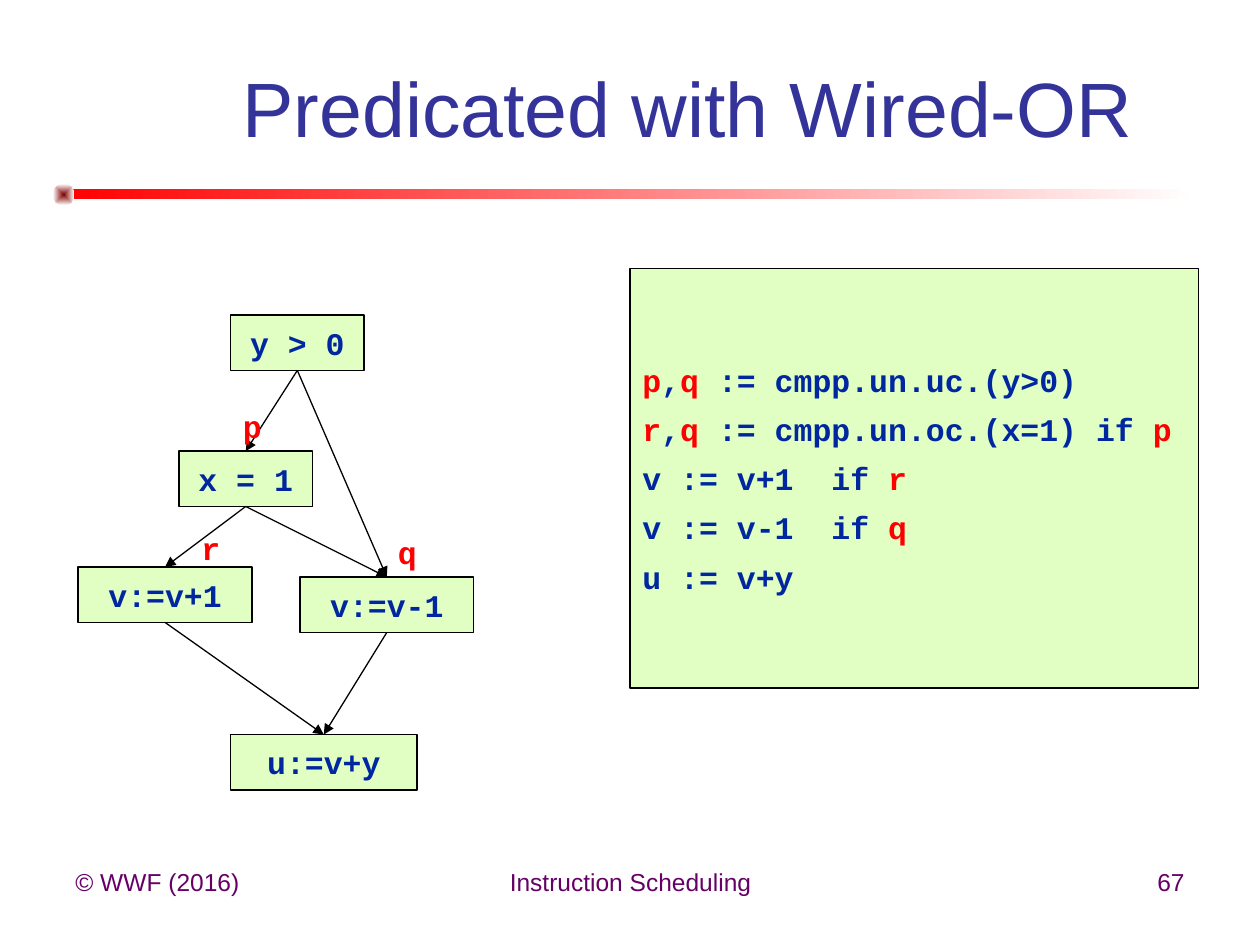
from dataclasses import dataclass

from pptx import Presentation
from pptx.dml.color import RGBColor
from pptx.enum.shapes import MSO_CONNECTOR as Connector, MSO_SHAPE as Shape
from pptx.enum.text import MSO_ANCHOR as Anchor, PP_ALIGN as Align
from pptx.oxml import parse_xml
from pptx.oxml.ns import nsdecls, qn
from pptx.util import Inches, Pt

BLACK = RGBColor(0x00, 0x00, 0x00)
WHITE = RGBColor(0xFF, 0xFF, 0xFF)
RED = RGBColor(0xFF, 0x00, 0x00)
MAROON = RGBColor(0x80, 0x00, 0x00)
PURPLE = RGBColor(0x66, 0x00, 0x66)
INDIGO = RGBColor(0x33, 0x33, 0x99)
NAVY = RGBColor(0x00, 0x27, 0x9F)
LIME = RGBColor(0xE1, 0xFF, 0xC3)
BODY_FONT = "Arial"
CODE_FONT = "Courier New"
NODE_HEIGHT = 0.44
TOP_SITE, BOTTOM_SITE = 0, 2


@dataclass(frozen=True)
class Node:
    text: str
    left: float
    top: float
    width: float


@dataclass(frozen=True)
class Label:
    text: str
    left: float
    top: float
    width: float
    height: float
    size: int
    font: str
    color: RGBColor
    bold: bool = False
    align: Align = Align.LEFT


COMPARE_Y = Node("y > 0", 1.83, 2.5, 1.06)
COMPARE_X = Node("x = 1", 1.42, 3.58, 1.06)
DECREMENT = Node("v:=v-1", 2.38, 4.58, 1.38)
INCREMENT = Node("v:=v+1", 0.62, 4.5, 1.38)
SUM = Node("u:=v+y", 1.83, 5.83, 1.48)
NODES = (COMPARE_Y, COMPARE_X, DECREMENT, INCREMENT, SUM)
EDGES = (
    (COMPARE_Y, COMPARE_X),
    (COMPARE_Y, DECREMENT),
    (COMPARE_X, INCREMENT),
    (COMPARE_X, DECREMENT),
    (INCREMENT, SUM),
    (DECREMENT, SUM),
)
PREDICATES = [
    Label(name, left, top, 0.34, 0.4, 18, CODE_FONT, RED, bold=True)
    for name, left, top in (("p", 1.83, 3.18), ("r", 1.5, 4.15), ("q", 3.06, 4.18))
]
FOOTERS = [
    Label(text, left, 6.83, width, 0.52, 14, BODY_FONT, PURPLE, align=align)
    for text, left, width, align in (
        ("© WWF (2016)", 0.5, 2.33, Align.LEFT),
        ("Instruction Scheduling", 3.42, 3.17, Align.CENTER),
        ("67", 7.17, 2.33, Align.RIGHT),
    )
]
CODE_LINES = (
    (("p", RED), (",", NAVY), ("q", RED), (" := cmpp.un.uc.(y>0)", NAVY)),
    (("r", RED), (",", NAVY), ("q", RED), (" := cmpp.un.oc.(x=1) if ", NAVY), ("p", RED)),
    (("v := v+1\tif ", NAVY), ("r", RED)),
    (("v := v-1\tif ", NAVY), ("q", RED)),
    (("u := v+y", NAVY),),
)


def set_font(font, name: str, size: int, color: RGBColor, bold: bool = False) -> None:
    font.name = name
    font.size = Pt(size)
    font.color.rgb = color
    font.bold = bold


def add_gradient(slide, kind: Shape, left: float, top: float, width: float,
                 height: float, start: RGBColor):
    shape = slide.shapes.add_shape(
        kind, Inches(left), Inches(top), Inches(width), Inches(height))
    shape.shadow.inherit = False
    shape.line.fill.background()
    shape.fill.gradient()
    shape.fill.gradient_angle = 0
    for stop, color in zip(shape.fill.gradient_stops, (start, WHITE)):
        stop.color.rgb = color
    return shape


def make_radial(shape) -> None:
    linear = shape.element.spPr.find(qn("a:gradFill")).find(qn("a:lin"))
    linear.getparent().replace(linear, parse_xml(
        f'<a:path {nsdecls("a")} path="shape">'
        '<a:fillToRect l="50000" t="50000" r="50000" b="50000"/></a:path>'))


def add_box(slide, left: float, top: float, width: float, height: float):
    shape = slide.shapes.add_shape(
        Shape.FLOWCHART_PROCESS, Inches(left), Inches(top), Inches(width), Inches(height))
    shape.shadow.inherit = False
    shape.fill.solid()
    shape.fill.fore_color.rgb = LIME
    shape.line.color.rgb = BLACK
    shape.line.width = Pt(0.75)
    frame = shape.text_frame
    frame.word_wrap = False
    frame.vertical_anchor = Anchor.MIDDLE
    frame.margin_left = frame.margin_right = Inches(0.1)
    frame.margin_top = frame.margin_bottom = Inches(0.05)
    return shape


def add_node(slide, node: Node):
    shape = add_box(slide, node.left, node.top, node.width, NODE_HEIGHT)
    paragraph = shape.text_frame.paragraphs[0]
    paragraph.text = node.text
    paragraph.alignment = Align.CENTER
    set_font(paragraph.font, CODE_FONT, 18, NAVY, bold=True)
    return shape


def add_arrow(slide, source, target) -> None:
    connector = slide.shapes.add_connector(Connector.STRAIGHT, 0, 0, 0, 0)
    connector.begin_connect(source, BOTTOM_SITE)
    connector.end_connect(target, TOP_SITE)
    connector.line.color.rgb = BLACK
    connector.line.width = Pt(0.75)
    connector.line._get_or_add_ln().append(
        parse_xml(f'<a:tailEnd {nsdecls("a")} type="triangle"/>'))
    connector.element.spPr.append(parse_xml(f'<a:effectLst {nsdecls("a")}/>'))


def add_code(slide) -> None:
    frame = add_box(slide, 5, 2.13, 4.51, 3.33).text_frame
    for index, line in enumerate(CODE_LINES):
        paragraph = frame.add_paragraph() if index else frame.paragraphs[0]
        paragraph.alignment = Align.LEFT
        if index:
            paragraph.space_before = Pt(6.5)
        for text, color in line:
            run = paragraph.add_run()
            run.text = text
            set_font(run.font, CODE_FONT, 18, color, bold=True)


def add_label(slide, label: Label) -> None:
    box = slide.shapes.add_textbox(
        Inches(label.left), Inches(label.top), Inches(label.width), Inches(label.height))
    box.text_frame.word_wrap = True
    paragraph = box.text_frame.paragraphs[0]
    paragraph.text = label.text
    paragraph.alignment = label.align
    set_font(paragraph.font, label.font, label.size, label.color, label.bold)


def set_title(slide, text: str) -> None:
    title = slide.shapes.title
    title.left, title.top = Inches(1.42), Inches(0.43)
    title.width, title.height = Inches(8.08), Inches(0.83)
    title.text_frame.vertical_anchor = Anchor.MIDDLE
    paragraph = title.text_frame.paragraphs[0]
    paragraph.text = text
    paragraph.alignment = Align.CENTER
    set_font(paragraph.font, BODY_FONT, 44, INDIGO)


def main() -> None:
    presentation = Presentation()
    presentation.slide_width, presentation.slide_height = Inches(10), Inches(7.5)
    slide = presentation.slides.add_slide(presentation.slide_layouts[5])
    set_title(slide, "Predicated with Wired-OR")
    add_gradient(slide, Shape.RECTANGLE, 0.5, 1.5, 9, 0.08, RED)
    make_radial(add_gradient(slide, Shape.OVAL, 0.42, 1.46, 0.17, 0.17, MAROON))
    boxes = {node: add_node(slide, node) for node in NODES}
    for source, target in EDGES:
        add_arrow(slide, boxes[source], boxes[target])
    add_code(slide)
    for label in PREDICATES + FOOTERS:
        add_label(slide, label)
    presentation.save("out.pptx")


if __name__ == "__main__":
    main()
